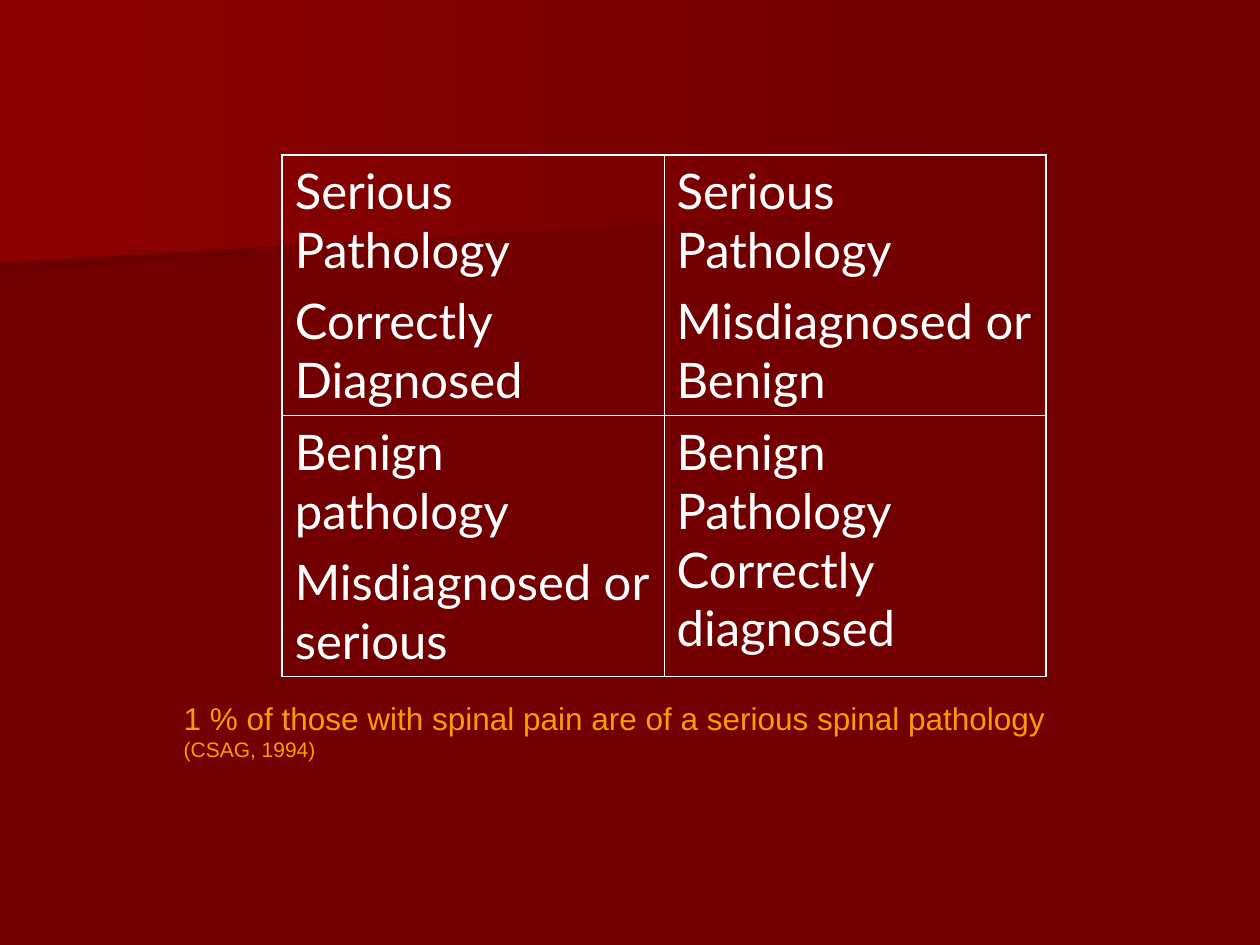
"""Build a slide with a two-by-two grid of spinal diagnosis outcomes."""
from dataclasses import dataclass

from lxml.etree import SubElement
from pptx import Presentation
from pptx.dml.color import RGBColor
from pptx.enum.text import MSO_AUTO_SIZE
from pptx.oxml.ns import qn
from pptx.util import Pt

WHITE = RGBColor(0xFF, 0xFF, 0xFF)
AMBER = RGBColor(0xFF, 0x99, 0x00)
BASE = RGBColor(0x72, 0x00, 0x00)
DARK = RGBColor(0x6A, 0x00, 0x00)
LIGHT = RGBColor(0x8C, 0x00, 0x00)
THICK, THIN = Pt(1.08), Pt(0.45)


@dataclass(frozen=True)
class Band:
    points: tuple[tuple[float, float], ...]
    tint: RGBColor


BANDS = (
    Band(((560.2, 110.2), (0, 156.2), (0, 72.7), (560.9, 72.7), (560.2, 92.2)), DARK),
    Band(((570.2, 116.6), (0, 149.8), (0, 0), (570.2, 0)), LIGHT),
)
GRID = (
    (("Serious Pathology", "Correctly Diagnosed"),
     ("Serious Pathology", "Misdiagnosed or Benign")),
    (("Benign pathology", "Misdiagnosed or serious"),
     ("Benign Pathology Correctly diagnosed",)),
)


def write(frame, index: int, text: str, *, size: float, font: str,
          color: RGBColor, before: float = 0) -> None:
    para = frame.add_paragraph() if index else frame.paragraphs[0]
    if index:
        para.space_before = Pt(before)
    run = para.add_run()
    run.text = text
    run.font.size = Pt(size)
    run.font.name = font
    run.font.color.rgb = color


def draw_band(slide, band: Band) -> None:
    start, *rest = [(Pt(x), Pt(y)) for x, y in band.points]
    form = slide.shapes.build_freeform(*start)
    form.add_line_segments(rest, close=True)
    shape = form.convert_to_shape()
    shape.shadow.inherit = False
    shape.line.fill.background()
    shape.fill.gradient()
    shape.fill.gradient_angle = 180
    for stop, place, color in zip(shape.fill.gradient_stops, (0, 1), (BASE, band.tint)):
        stop.position = place
        stop.color.rgb = color


def add_edge(cell, side: str, width: int) -> None:
    line = SubElement(cell._tc.get_or_add_tcPr(), qn(f"a:ln{side}"), w=str(width))
    fill = SubElement(line, qn("a:solidFill"))
    SubElement(fill, qn("a:srgbClr"), val=str(WHITE))


def draw_grid(slide) -> None:
    rows, cols = len(GRID), len(GRID[0])
    wide, high = 218.2, 149
    table = slide.shapes.add_table(rows, cols, Pt(161.3), Pt(88.6),
                                   Pt(cols * wide), Pt(rows * high)).table
    table.first_row = table.horz_banding = False
    for r, row in enumerate(GRID):
        for c, texts in enumerate(row):
            cell = table.cell(r, c)
            outer = {"L": c == 0, "R": c == cols - 1,
                     "T": r == 0, "B": r == rows - 1}
            for side, edge in outer.items():
                add_edge(cell, side, THICK if edge else THIN)
            cell.fill.background()
            for i, text in enumerate(texts):
                write(cell.text_frame, i, text, size=28, font="Lato",
                      color=WHITE, before=7)


def draw_note(slide) -> None:
    box = slide.shapes.add_textbox(Pt(97.9), Pt(396), Pt(506.9), Pt(43.2))
    frame = box.text_frame
    frame.word_wrap = False
    frame.auto_size = MSO_AUTO_SIZE.SHAPE_TO_FIT_TEXT
    write(frame, 0, "1 % of those with spinal pain are of a serious spinal pathology",
          size=18, font="Arial", color=AMBER)
    write(frame, 1, "(CSAG, 1994)", size=12, font="Arial", color=AMBER)


def main() -> None:
    deck = Presentation()
    deck.slide_width, deck.slide_height = Pt(720), Pt(540)
    slide = deck.slides.add_slide(deck.slide_layouts[6])
    slide.background.fill.solid()
    slide.background.fill.fore_color.rgb = BASE
    for band in BANDS:
        draw_band(slide, band)
    draw_grid(slide)
    draw_note(slide)
    deck.save("out.pptx")


if __name__ == "__main__":
    main()
